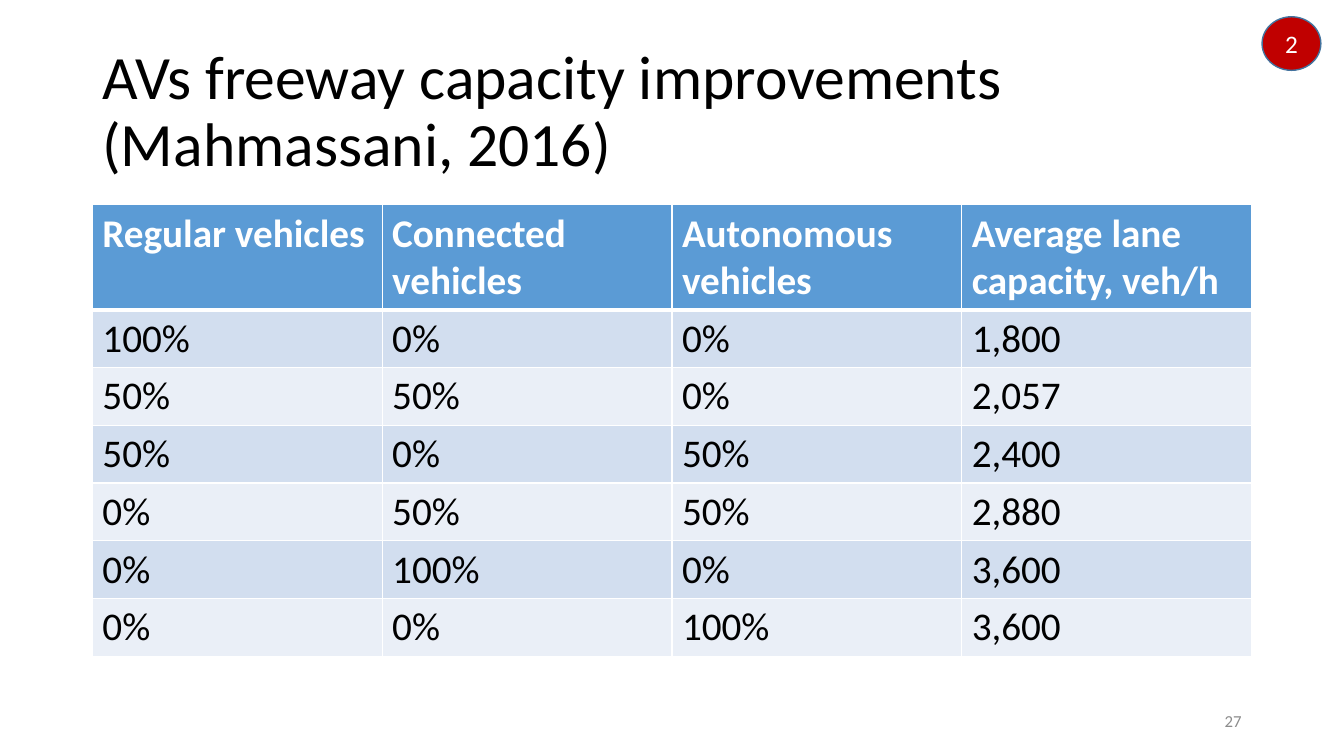
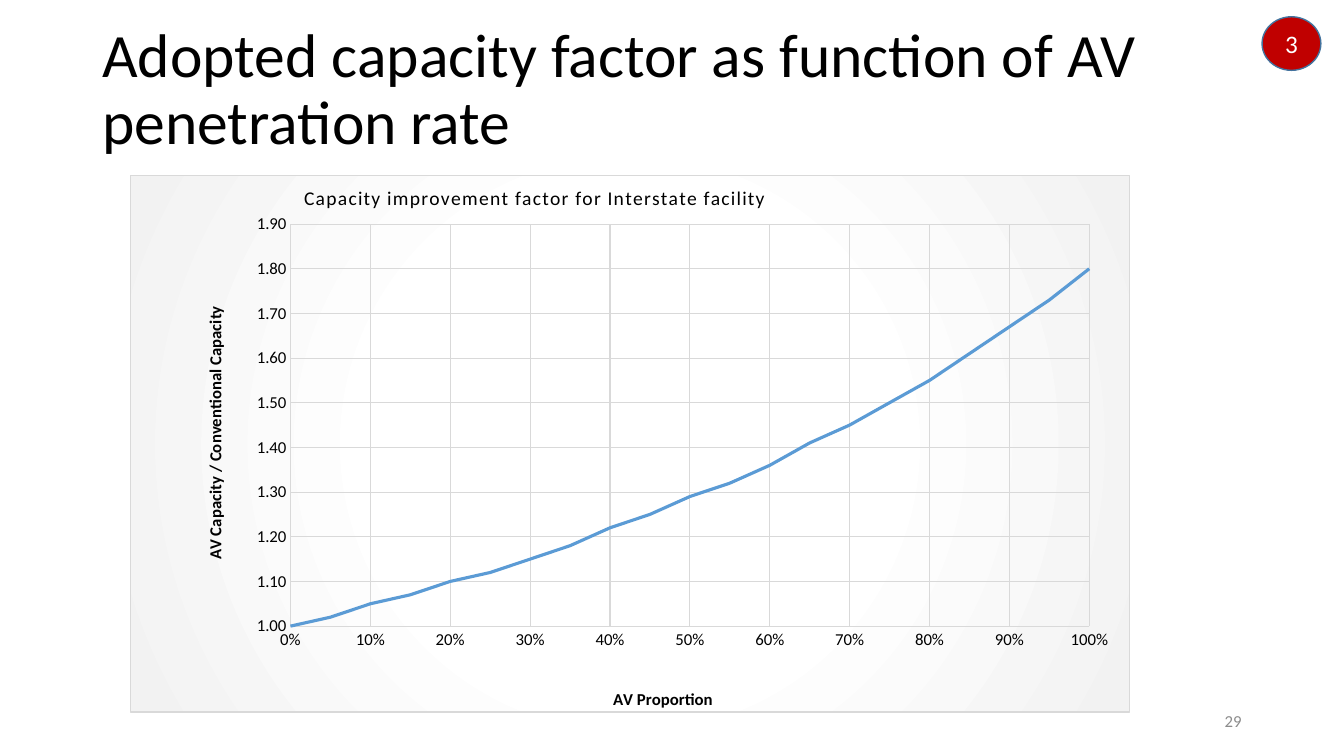
from lxml import etree
from pptx import Presentation
from pptx.chart.data import XyChartData
from pptx.dml.color import RGBColor
from pptx.enum.chart import XL_CHART_TYPE as ChartType, XL_TICK_MARK as TickMark
from pptx.enum.shapes import MSO_SHAPE as Preset
from pptx.enum.text import MSO_ANCHOR as Anchor, PP_ALIGN as Align
from pptx.oxml import parse_xml
from pptx.oxml.ns import nsdecls, qn
from pptx.util import Pt

PX = 9525
FONT = "Calibri"
COLORS = {
    "text": "000000", "white": "FFFFFF", "page": "8C8C8C",
    "blue": "5B9BD5", "outline": "43739E", "badge": "C00000",
    "band_dark": "D2DEEF", "band_light": "EAEFF7",
    "grid": "D9D9D9", "chart_edge": "F2F2F2",
}
LEFT, WIDTH = 88, 1104

CAPACITY_ROWS = [
    ("Regular vehicles", "Connected vehicles", "Autonomous vehicles", "Average lane capacity, veh/h"),
    ("100%", "0%", "0%", "1,800"),
    ("50%", "50%", "0%", "2,057"),
    ("50%", "0%", "50%", "2,400"),
    ("0%", "50%", "50%", "2,880"),
    ("0%", "100%", "0%", "3,600"),
    ("0%", "0%", "100%", "3,600"),
]
CAPACITY_FACTORS = [
    1, 1.02, 1.05, 1.07, 1.1, 1.12, 1.15, 1.18, 1.22, 1.25, 1.29,
    1.32, 1.36, 1.41, 1.45, 1.5, 1.55, 1.61, 1.67, 1.73, 1.8,
]


def px(*lengths):
    return [length * PX for length in lengths]


def rgb(name):
    return RGBColor.from_string(COLORS[name])


def style_font(font, size, color="text", bold=False):
    font.name, font.size, font.bold = FONT, Pt(size), bold
    font.color.rgb = rgb(color)


def write(frame, text, size, color="text", bold=False, align=Align.LEFT):
    frame.word_wrap = True
    paragraph = frame.paragraphs[0]
    paragraph.alignment = align
    run = paragraph.add_run()
    run.text = text
    style_font(run.font, size, color, bold)
    return paragraph


def add_text(slide, box, text, size, **style):
    frame = slide.shapes.add_textbox(*px(*box)).text_frame
    frame.vertical_anchor = Anchor.MIDDLE
    return write(frame, text, size, **style)


def add_badge(slide, label):
    shape = slide.shapes.add_shape(Preset.OVAL, *px(1202, 16, 56, 51))
    shape.shadow.inherit = False
    shape.fill.solid()
    shape.fill.fore_color.rgb = rgb("badge")
    shape.line.color.rgb = rgb("outline")
    shape.line.width = Pt(1)
    shape.text_frame.vertical_anchor = Anchor.MIDDLE
    write(shape.text_frame, label, 18, "white", align=Align.CENTER)


def add_slide(presentation, title, title_top, badge, page):
    slide = presentation.slides.add_slide(presentation.slide_layouts[6])
    paragraph = add_text(slide, (LEFT, title_top, WIDTH, 139), title, 44)
    paragraph.line_spacing = 0.9
    add_text(slide, (904, 667, 288, 38), page, 12, color="page", align=Align.RIGHT)
    add_badge(slide, badge)
    return slide


def set_borders(cell, widths):
    properties = cell._tc.get_or_add_tcPr()
    for index, (side, width) in enumerate(widths.items()):
        properties.insert(index, parse_xml(
            f'<a:ln{side} {nsdecls("a")} w="{Pt(width)}"><a:solidFill>'
            f'<a:srgbClr val="{COLORS["white"]}"/></a:solidFill></a:ln{side}>'))


def add_table(slide, rows, top, header_height, row_height):
    column_count = len(rows[0])
    height = header_height + row_height * (len(rows) - 1)
    table = slide.shapes.add_table(
        len(rows), column_count, *px(LEFT, top, WIDTH, height)).table
    for column in table.columns:
        column.width = WIDTH * PX // column_count
    for row_index, values in enumerate(rows):
        header = row_index == 0
        table.rows[row_index].height = (header_height if header else row_height) * PX
        fill = "blue" if header else ("band_light", "band_dark")[row_index % 2]
        widths = {"L": 1, "R": 1, "T": 3 if row_index == 1 else 1, "B": 3 if header else 1}
        for column_index, value in enumerate(values):
            cell = table.cell(row_index, column_index)
            cell.fill.solid()
            cell.fill.fore_color.rgb = rgb(fill)
            set_borders(cell, widths)
            write(cell.text_frame, value, 28, "white" if header else "text", header)


def manual_layout(x, y, size=None):
    values = [("xMode", "edge"), ("yMode", "edge"), ("x", x), ("y", y)]
    if size:
        values.insert(0, ("layoutTarget", "inner"))
        values += [("w", size[0]), ("h", size[1])]
    children = "".join(f'<c:{name} val="{value}"/>' for name, value in values)
    return parse_xml(
        f'<c:layout {nsdecls("c")}><c:manualLayout>{children}</c:manualLayout></c:layout>')


def replace_layout(element, layout, position):
    for old in element.findall(qn("c:layout")):
        element.remove(old)
    element.insert(position, layout)


def set_chart_title(title, text, size, x, y, bold=False):
    write_frame = title.text_frame
    run = write_frame.paragraphs[0].add_run()
    run.text = text
    style_font(run.font, size, bold=bold)
    replace_layout(title._element, manual_layout(x, y), 1)
    return run


def style_axis(axis, minimum, maximum, number_format, title, x, y):
    axis.minimum_scale, axis.maximum_scale, axis.major_unit = minimum, maximum, 0.1
    axis.major_tick_mark = axis.minor_tick_mark = TickMark.NONE
    axis.tick_labels.number_format = number_format
    axis.tick_labels.number_format_is_linked = False
    style_font(axis.tick_labels.font, 12)
    axis.format.line.fill.background()
    axis.has_major_gridlines = True
    axis.major_gridlines.format.line.color.rgb = rgb("grid")
    axis.major_gridlines.format.line.width = Pt(0.75)
    set_chart_title(axis.axis_title, title, 12, x, y, bold=True)


def fill_chart_background(chart):
    stops = "".join(
        f'<a:gs pos="{position}"><a:srgbClr val="{COLORS[color]}"/></a:gs>'
        for position, color in ((0, "white"), (43000, "white"), (100000, "chart_edge")))
    properties = parse_xml(
        f'<c:spPr {nsdecls("c", "a")}><a:gradFill><a:gsLst>{stops}</a:gsLst>'
        '<a:path path="circle"><a:fillToRect l="50000" t="50000" r="50000" b="50000"/></a:path>'
        f'</a:gradFill><a:ln w="{Pt(0.75)}"><a:solidFill>'
        f'<a:srgbClr val="{COLORS["grid"]}"/></a:solidFill></a:ln></c:spPr>')
    chart._chartSpace.find(qn("c:chart")).addnext(properties)


def add_factor_chart(slide, box, factors):
    data = XyChartData()
    points = data.add_series("Series 1")
    for index, factor in enumerate(factors):
        points.add_data_point(round(index * 0.05, 2), factor)
    chart = slide.shapes.add_chart(
        ChartType.XY_SCATTER_LINES_NO_MARKERS, *px(*box), data).chart
    style_font(chart.font, 12)
    chart.has_legend = False
    chart.has_title = True
    run = set_chart_title(
        chart.chart_title, "Capacity improvement factor for Interstate facility", 14, 0.17, 0.01)
    run._r.get_or_add_rPr().set("spc", "80")
    chart.chart_title.include_in_layout = False
    style_axis(chart.category_axis, 0, 1, "0%", "AV Proportion", 0.48, 0.95)
    style_axis(chart.value_axis, 1, 1.9, "0.00",
               "AV Capacity / Conventional Capacity", 0.07, 0.24)
    plot = chart.plots[0]
    plot.vary_by_categories = False
    series = plot.series[0]
    series.smooth = False
    series.format.line.color.rgb = rgb("blue")
    series.format.line.width = Pt(2.25)
    plot_area = chart._chartSpace.find(qn("c:chart")).find(qn("c:plotArea"))
    replace_layout(plot_area, manual_layout(0.16, 0.09, (0.8, 0.75)), 0)
    fill_chart_background(chart)


def main():
    presentation = Presentation()
    presentation.slide_width, presentation.slide_height = px(1280, 720)

    slide = add_slide(
        presentation, "AVs freeway capacity improvements (Mahmassani, 2016)", 38, "2", "27")
    add_table(slide, CAPACITY_ROWS, 195, 100, 55)

    slide = add_slide(
        presentation, "Adopted capacity factor as function of AV penetration rate", 17, "3", "29")
    add_factor_chart(slide, (124, 167, 952, 514), CAPACITY_FACTORS)

    presentation.save("out.pptx")


if __name__ == "__main__":
    main()
